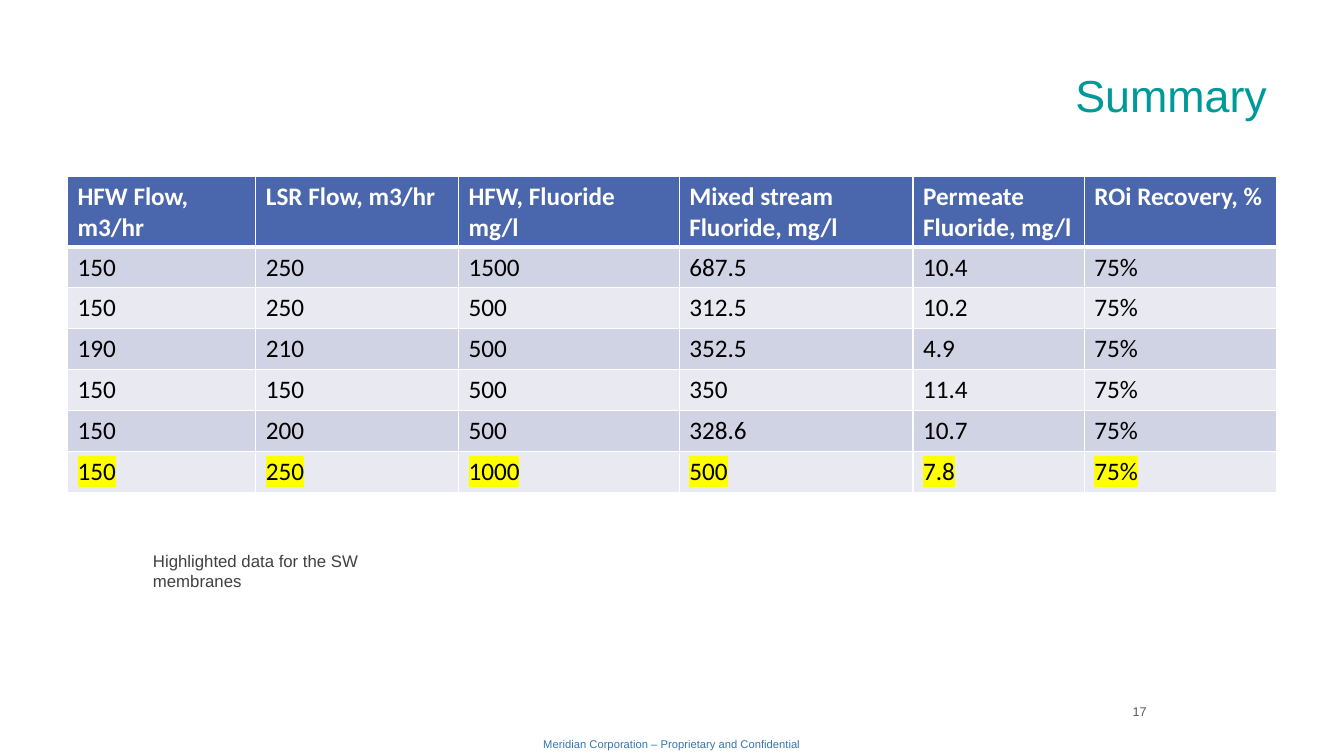
from lxml import etree
from pptx import Presentation
from pptx.dml.color import RGBColor
from pptx.enum import text as t
from pptx.oxml import ns
from pptx.util import Pt

WHITE = RGBColor(0xFF, 0xFF, 0xFF)
BLACK = RGBColor(0x00, 0x00, 0x00)
TEAL = RGBColor(0x00, 0x99, 0x99)
FOOTER_BLUE = RGBColor(0x34, 0x77, 0xB2)
HEADER_BLUE = RGBColor(0x4A, 0x66, 0xAC)
BAND_DARK = RGBColor(0xD0, 0xD3, 0xE3)
BAND_LIGHT = RGBColor(0xE9, 0xEA, 0xF1)
NOTE_GREY = RGBColor(0x40, 0x40, 0x40)
NUMBER_GREY = RGBColor(0x59, 0x59, 0x59)
YELLOW = RGBColor(0xFF, 0xFF, 0x00)

HEADINGS = ["HFW Flow, m3/hr", "LSR Flow, m3/hr", "HFW, Fluoride mg/l",
            "Mixed stream Fluoride, mg/l", "Permeate Fluoride, mg/l",
            "ROi Recovery, %"]
RESULTS = [
    ["150", "250", "1500", "687.5", "10.4", "75%"],
    ["150", "250", "500", "312.5", "10.2", "75%"],
    ["190", "210", "500", "352.5", "4.9", "75%"],
    ["150", "150", "500", "350", "11.4", "75%"],
    ["150", "200", "500", "328.6", "10.7", "75%"],
    ["150", "250", "1000", "500", "7.8", "75%"],
]
COLUMN_WIDTHS = [134.6, 144.7, 157.7, 167, 122.4, 137.6]
ROW_HEIGHT = 29.2


def format_run(run, size, color, font="Arial", bold=False):
    run.font.size = Pt(size)
    run.font.name = font
    run.font.bold = bold
    run.font.color.rgb = color


def add_label(slide, wording, box, size, color, align=t.PP_ALIGN.LEFT,
              anchor=t.MSO_ANCHOR.TOP):
    label = slide.shapes.add_textbox(*map(Pt, box))
    frame = label.text_frame
    frame.word_wrap = True
    frame.vertical_anchor = anchor
    frame.text = wording
    frame.paragraphs[0].alignment = align
    format_run(frame.paragraphs[0].runs[0], size, color)
    return label


def add_color(parent, color):
    fill = etree.SubElement(parent, ns.qn("a:solidFill"))
    etree.SubElement(fill, ns.qn("a:srgbClr"), val=str(color))


def set_borders(cell, top, bottom):
    """Draw white borders, with top and bottom widths in points."""
    properties = cell._tc.get_or_add_tcPr()
    for side, width in (("L", 1), ("R", 1), ("T", top), ("B", bottom)):
        border = etree.SubElement(properties, ns.qn(f"a:ln{side}"), w=str(Pt(width)))
        add_color(border, WHITE)


def highlight(run):
    """Mark the run in yellow; the mark must follow the font colour."""
    mark = etree.Element(ns.qn("a:highlight"))
    etree.SubElement(mark, ns.qn("a:srgbClr"), val=str(YELLOW))
    run.font._element.find(ns.qn("a:solidFill")).addnext(mark)


def fill_cell(cell, wording, row):
    header = row == 0
    set_borders(cell, top=3 if row == 1 else 1, bottom=3 if header else 1)
    cell.fill.solid()
    band = BAND_DARK if row % 2 else BAND_LIGHT
    cell.fill.fore_color.rgb = HEADER_BLUE if header else band
    cell.text = wording
    run = cell.text_frame.paragraphs[0].runs[0]
    format_run(run, 18, WHITE if header else BLACK, "Calibri", header)
    if row == len(RESULTS):
        highlight(run)


def add_results_table(slide):
    lines = [HEADINGS] + RESULTS
    table = slide.shapes.add_table(
        len(lines), len(HEADINGS), Pt(48.2), Pt(126),
        Pt(sum(COLUMN_WIDTHS)), Pt(ROW_HEIGHT * len(lines))).table
    for column, width in zip(table.columns, COLUMN_WIDTHS):
        column.width = Pt(width)
    for row, line in enumerate(lines):
        table.rows[row].height = Pt(ROW_HEIGHT)
        for column, wording in enumerate(line):
            fill_cell(table.cell(row, column), wording, row)


def main():
    deck = Presentation()
    deck.slide_width, deck.slide_height = Pt(960), Pt(540)
    slide = deck.slides.add_slide(deck.slide_layouts[6])
    add_label(slide, "Meridian Corporation – Proprietary and Confidential",
              (329.8, 523.4, 300.2, 17), 8, FOOTER_BLUE, t.PP_ALIGN.CENTER)
    add_label(slide, "Summary", (154, 22.3, 758.2, 90), 32, TEAL,
              t.PP_ALIGN.RIGHT, t.MSO_ANCHOR.MIDDLE)
    add_results_table(slide)
    page_number = add_label(slide, "17", (715.7, 488.9, 196.6, 28.8), 9, NUMBER_GREY,
                            t.PP_ALIGN.CENTER, t.MSO_ANCHOR.MIDDLE)
    page_number.text_frame.margin_top = Pt(14)
    add_label(slide, "Highlighted data for the SW membranes",
              (102.2, 389.5, 221, 21.6), 12, NOTE_GREY)
    deck.save("out.pptx")


if __name__ == "__main__":
    main()
